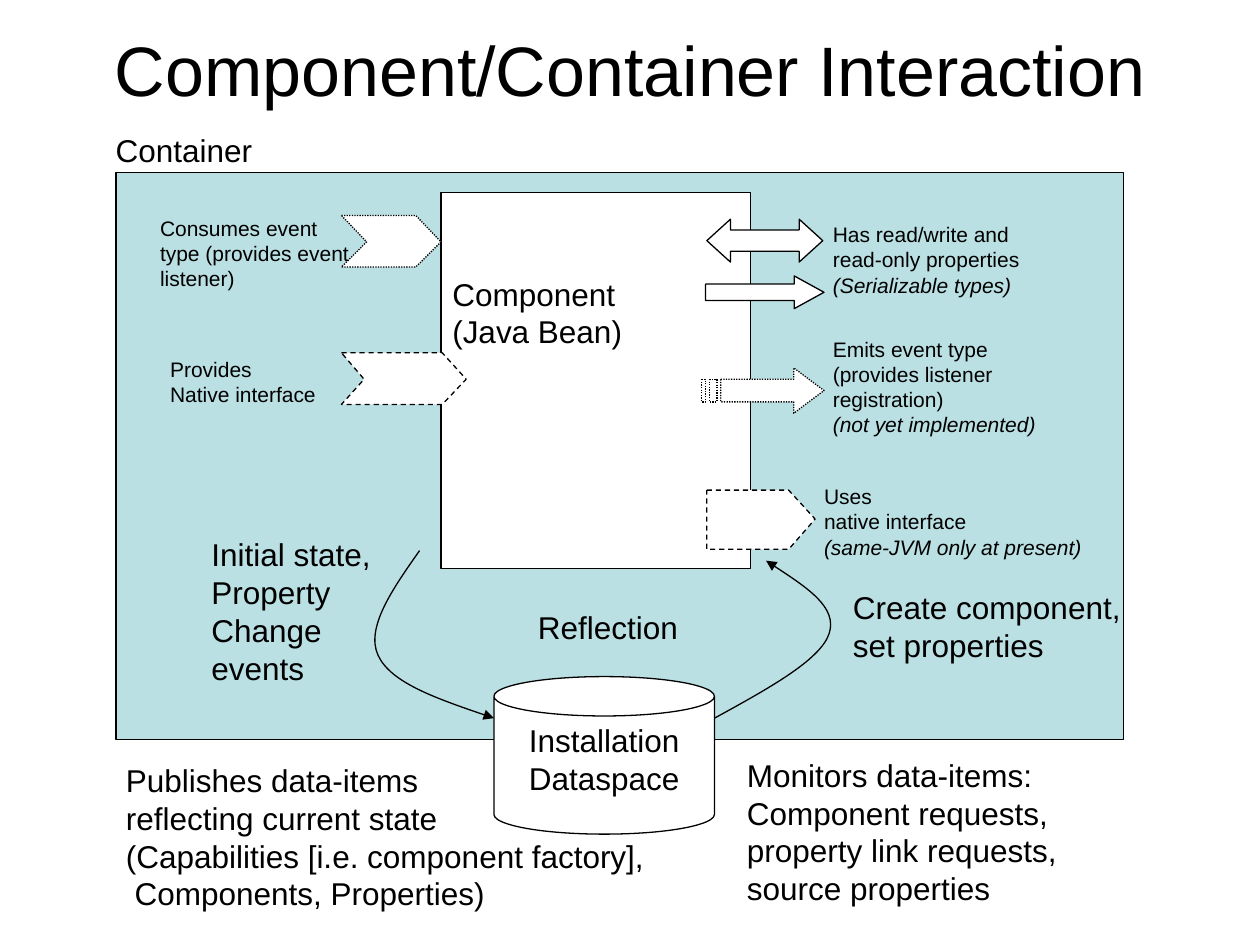
from dataclasses import dataclass

from lxml.etree import SubElement
from pptx import Presentation
from pptx.dml.color import RGBColor
from pptx.enum.dml import MSO_LINE
from pptx.enum.shapes import MSO_SHAPE
from pptx.enum.text import MSO_ANCHOR, MSO_AUTO_SIZE, PP_ALIGN
from pptx.oxml.ns import qn
from pptx.util import Inches, Pt

BLACK, WHITE, TEAL = "000000", "FFFFFF", "BBE0E3"
Point = tuple[float, float]
Box = tuple[float, float, float, float]


@dataclass
class Label:
    box: Box
    paragraphs: list[str]  # \v marks a line break inside a paragraph
    note: str = ""  # italic ending of the last paragraph
    size: int = 12
    wrap: bool = True


@dataclass
class Outline:
    contours: list[list[Point]]
    dash: MSO_LINE


@dataclass
class Curve:
    points: list[Point]  # start, then two controls and an end per segment


def color(value: str) -> RGBColor:
    return RGBColor.from_string(value)


def style(shape, fill: str | None = WHITE, dash: MSO_LINE | None = None) -> None:
    shape.shadow.inherit = False
    if fill:
        shape.fill.solid()
        shape.fill.fore_color.rgb = color(fill)
    else:
        shape.fill.background()
    shape.line.color.rgb = color(BLACK)
    shape.line.width = Pt(0.75)
    if dash:
        shape.line.dash_style = dash


def write(frame, paragraphs: list[str], size: int, align=PP_ALIGN.LEFT, note: str = "") -> None:
    for index, text in enumerate(paragraphs):
        para = frame.paragraphs[0] if index == 0 else frame.add_paragraph()
        para.text = text
        para.alignment = align
        para.font.name = "Arial"
        para.font.size = Pt(size)
        para.font.color.rgb = color(BLACK)
    if note:
        span = para.add_run()
        span.text = note
        span.font.italic = True


def add_preset(page, kind: MSO_SHAPE, box: Box, fill: str = WHITE, adjust: tuple = ()):
    shape = page.shapes.add_shape(kind, *map(Inches, box))
    for index, value in enumerate(adjust):
        shape.adjustments[index] = value
    style(shape, fill)
    return shape


def add_label(page, label: Label) -> None:
    frame = page.shapes.add_textbox(*map(Inches, label.box)).text_frame
    frame.word_wrap = label.wrap
    frame.auto_size = MSO_AUTO_SIZE.NONE if label.wrap else MSO_AUTO_SIZE.SHAPE_TO_FIT_TEXT
    if label.wrap:
        frame.margin_left = frame.margin_right = Inches(0.09)
    write(frame, label.paragraphs, label.size, note=label.note)


def trace(page, contours: list[list[Point]], close: bool):
    paths = [[(Inches(x), Inches(y)) for x, y in contour] for contour in contours]
    builder = page.shapes.build_freeform(*paths[0][0])
    builder.add_line_segments(paths[0][1:], close=close)
    for path_points in paths[1:]:
        builder.move_to(*path_points[0])
        builder.add_line_segments(path_points[1:], close=close)
    return builder.convert_to_shape()


def add_outline(page, outline: Outline) -> None:
    style(trace(page, outline.contours, True), dash=outline.dash)


def add_curve(page, curve: Curve) -> None:
    shape = trace(page, [curve.points], False)
    style(shape, None)
    # Turn each three straight segments into one Bezier segment
    segments = list(shape._element.iter(qn("a:lnTo")))
    for start in range(0, len(segments), 3):
        bezier = SubElement(segments[start].getparent(), qn("a:cubicBezTo"))
        for segment in segments[start:start + 3]:
            bezier.append(segment[0])
            segment.getparent().remove(segment)
    SubElement(shape.line._get_or_add_ln(), qn("a:tailEnd"), type="triangle")


def rectangle(left: float, top: float, right: float, bottom: float) -> list[Point]:
    return [(left, top), (right, top), (right, bottom), (left, bottom)]


def pointer(left: float, shoulder: float, tip: float, top: float, middle: float,
            bottom: float, notch: float | None = None) -> list[Point]:
    points = [(left, top), (shoulder, top), (tip, middle), (shoulder, bottom), (left, bottom)]
    return points + ([(notch, middle)] if notch else [])


OUTLINES = [
    # Consumed events, provided interface, emitted events, used interface
    Outline([pointer(2.71, 3.3, 3.5, 1.71, 1.92, 2.12, 2.91)], MSO_LINE.ROUND_DOT),
    Outline([pointer(2.71, 3.51, 3.7, 2.8, 3.01, 3.21, 2.89)], MSO_LINE.DASH),
    Outline([[(5.72, 3.01), (6.3, 3.01), (6.3, 2.92), (6.54, 3.1),
              (6.3, 3.28), (6.3, 3.19), (5.72, 3.19)],
             rectangle(5.57, 3.01, 5.6, 3.19), rectangle(5.63, 3.01, 5.69, 3.19)],
            MSO_LINE.ROUND_DOT),
    Outline([pointer(5.61, 6.26, 6.47, 3.89, 4.12, 4.36)], MSO_LINE.DASH),
]

CURVES = [
    Curve([(3.33, 4.37), (3.12, 4.67), (2.9, 4.98), (3, 5.2),
           (3.1, 5.42), (3.51, 5.56), (3.92, 5.7)]),
    Curve([(5.67, 5.7), (6.09, 5.47), (6.51, 5.24), (6.58, 5.03),
           (6.65, 4.82), (6.37, 4.64), (6.08, 4.45)]),
]

LABELS = [
    # Component ports
    Label((1.26, 2.78, 1.99, 1.45), ["Provides", "Native interface"]),
    Label((6.52, 1.71, 1.92, 1.32), ["Has read/write and read-only properties\v"],
          "(Serializable types)"),
    Label((6.45, 3.79, 2.3, 0.76), ["Uses \vnative interface\v"], "(same-JVM only at present)"),
    Label((6.52, 2.62, 2.07, 0.91), ["Emits event type", "(provides listener registration)\v"],
          "(not yet implemented)"),
    Label((1.18, 1.66, 1.75, 1.45), ["Consumes event type (provides event listener)"]),
    # Container and dataspace
    Label((0.82, 0.99, 1.34, 0.4), ["Container"], size=18, wrap=False),
    Label((0.9, 5.99, 4.35, 1.3),
          ["Publishes data-items\vreflecting current state\v"
           "(Capabilities [i.e. component factory],\v Components, Properties)"],
          size=18, wrap=False),
    Label((5.83, 5.95, 2.7, 1.3),
          ["Monitors data-items:\vComponent requests,\vproperty link requests,\vsource properties"],
          size=18, wrap=False),
    Label((4.17, 4.78, 1.35, 0.4), ["Reflection"], size=18, wrap=False),
    Label((1.58, 4.2, 1.52, 1.3), ["Initial state,\vProperty \vChange \vevents"],
          size=18, wrap=False),
    Label((6.67, 4.62, 2.38, 0.7), ["Create component,\vset properties"], size=18, wrap=False),
]


def main() -> None:
    deck = Presentation()
    deck.slide_width, deck.slide_height = Inches(10), Inches(7.5)
    page = deck.slides.add_slide(deck.slide_layouts[5])

    # Title
    title = page.shapes.title
    title.left, title.top, title.width, title.height = map(Inches, (0.5, -0.08, 9, 1.25))
    title.text_frame.auto_size = MSO_AUTO_SIZE.NONE
    title.text_frame.vertical_anchor = MSO_ANCHOR.MIDDLE
    write(title.text_frame, ["Component/Container Interaction"], 40, PP_ALIGN.CENTER)

    # Container and component
    add_preset(page, MSO_SHAPE.RECTANGLE, (0.92, 1.37, 8, 4.5), TEAL)
    component = add_preset(page, MSO_SHAPE.RECTANGLE, (3.5, 1.53, 2.46, 2.98)).text_frame
    component.vertical_anchor = MSO_ANCHOR.TOP
    component.margin_left, component.margin_top = Inches(0.09), Inches(0.65)
    write(component, ["Component", "(Java Bean)"], 18)

    # Ports
    for outline in OUTLINES:
        add_outline(page, outline)
    add_preset(page, MSO_SHAPE.LEFT_RIGHT_ARROW, (5.61, 1.74, 0.92, 0.34), adjust=(0.5, 0.55))
    add_preset(page, MSO_SHAPE.RIGHT_ARROW, (5.6, 2.19, 0.94, 0.26), adjust=(0.5, 0.91))

    # Dataspace and its flows
    dataspace = add_preset(page, MSO_SHAPE.CAN, (3.92, 5.37, 1.75, 1.25), adjust=(0.25,)).text_frame
    dataspace.vertical_anchor = MSO_ANCHOR.TOP
    dataspace.margin_top = Inches(0.04)
    write(dataspace, ["Installation Dataspace"], 18, PP_ALIGN.CENTER)
    for curve in CURVES:
        add_curve(page, curve)
    for label in LABELS:
        add_label(page, label)

    deck.save("out.pptx")


if __name__ == "__main__":
    main()
